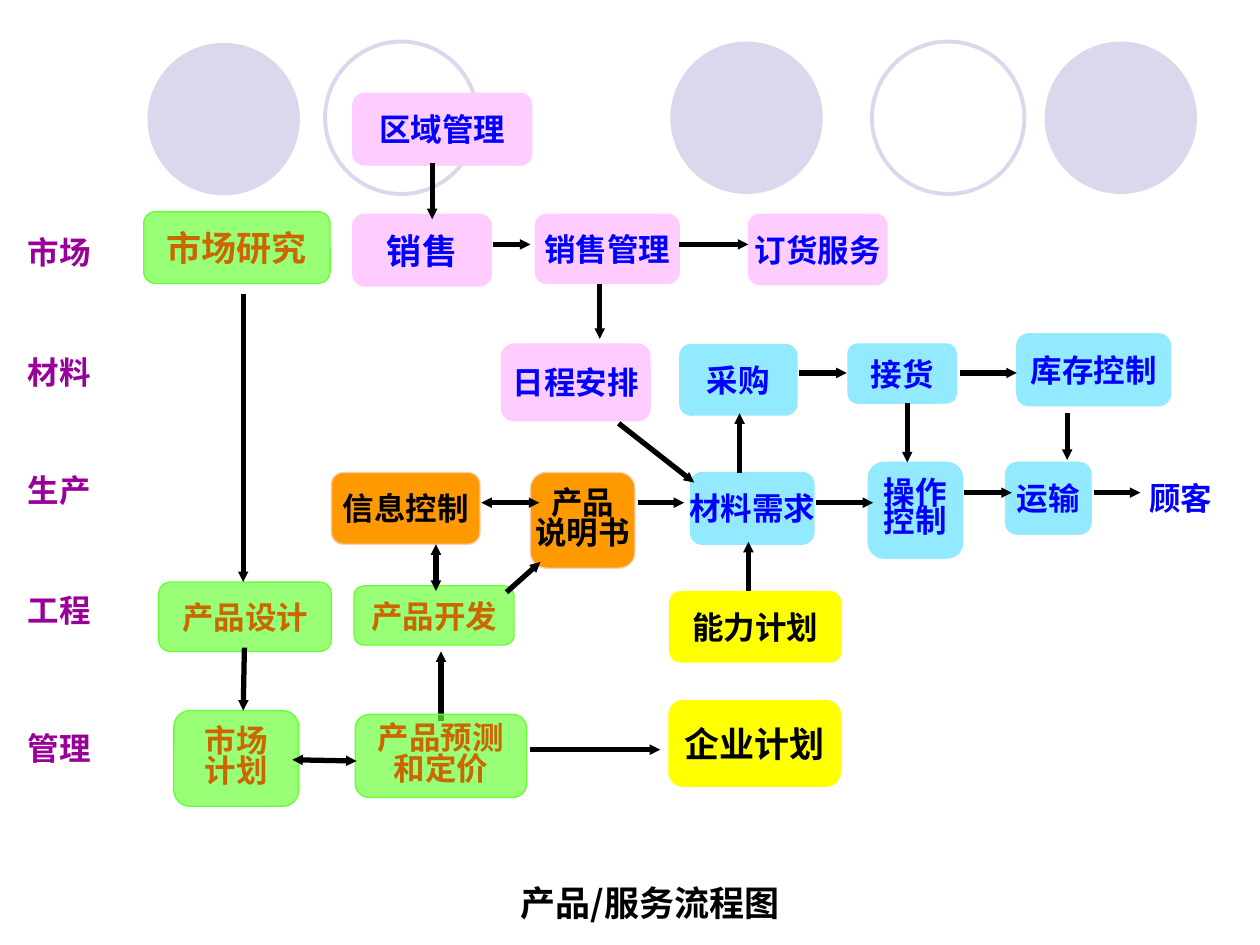
from dataclasses import dataclass

from lxml import etree
from pptx import Presentation
from pptx.dml.color import RGBColor
from pptx.enum.shapes import MSO_CONNECTOR, MSO_SHAPE
from pptx.enum.text import MSO_ANCHOR, PP_ALIGN
from pptx.oxml.ns import qn
from pptx.util import Inches, Pt

STRAIGHT = MSO_CONNECTOR.STRAIGHT
OVAL = MSO_SHAPE.OVAL
ROUNDED = MSO_SHAPE.ROUNDED_RECTANGLE
MIDDLE = MSO_ANCHOR.MIDDLE
CENTER = PP_ALIGN.CENTER

COLUMNS, ROWS = 100, 75
CELL = Inches(0.1)
BLANK_LAYOUT = 6


@dataclass(frozen=True)
class Theme:
    black: str = "000000"
    blue: str = "0000FF"
    brown: str = "CC6600"
    purple: str = "990099"
    lavender: str = "D9D8EC"
    green: str = "66FF33"
    orange: str = "FF9900"
    peach: str = "F7CEB5"
    yellow: str = "FFFF00"
    cyan: str = "93EAFF"
    pink: str = "FFCCFF"
    body_size: float = 18
    large_size: float = 20
    outline: float = 0.75
    ring_line: float = 2.25
    arrow_line: float = 3
    box_font: str = "Times New Roman"
    label_font: str = "Arial"
    chinese_font: str = "Noto Sans CJK SC"


THEME = Theme()


@dataclass(frozen=True)
class Style:
    fill: str
    line: str
    ink: str
    opacity: int = 100


RESEARCH = Style(THEME.green, THEME.green, THEME.brown, 67)
PRODUCT = Style(THEME.orange, THEME.peach, THEME.black)
PLANNING = Style(THEME.yellow, THEME.yellow, THEME.black)
SUPPLY = Style(THEME.cyan, THEME.cyan, THEME.blue)
SALES = Style(THEME.pink, THEME.pink, THEME.blue)


@dataclass(frozen=True)
class Circle:
    column: float
    row: float
    filled: bool
    diameter: float = 12.1


@dataclass(frozen=True)
class Box:
    style: Style
    column: float
    row: float
    width: float
    height: float
    lines: tuple[str, ...]
    size: float = THEME.body_size
    spacing: float = 0.8
    outlined: bool = True


@dataclass(frozen=True)
class Arrow:
    from_column: float
    from_row: float
    to_column: float
    to_row: float
    both_ends: bool = False


@dataclass(frozen=True)
class Label:
    column: float
    row: float
    width: float
    height: float
    text: str
    ink: str
    font: str
    size: float = THEME.body_size


CIRCLES = [
    Circle(53.2, 3.3, True),
    Circle(82.9, 3.3, True),
    Circle(11.7, 3.4, True),
    Circle(69.2, 3.3, False),
    Circle(25.8, 3.3, False),
]

FORECAST_ARROW = Arrow(35, 57.2, 35, 51.7)

BOXES = [
    Box(RESEARCH, 11.4, 16.8, 14.8, 5.7, ("市场研究",), THEME.large_size),
    Box(RESEARCH, 12.6, 46.2, 13.7, 5.5, ("产品设计",)),
    Box(RESEARCH, 13.8, 56.4, 9.9, 7.6, ("市场", "计划")),
    Box(PRODUCT, 26.3, 37.5, 11.8, 5.7, ("信息控制",)),
    Box(RESEARCH, 28.1, 46.5, 12.7, 4.7, ("产品开发",)),
    Box(RESEARCH, 28.2, 56.7, 13.6, 6.6, ("产品预测", "和定价")),
    Box(PRODUCT, 42.1, 37.5, 8.3, 7.6, ("产品", "说明书")),
    Box(PLANNING, 53.1, 46.9, 13.7, 5.7, ("能力计划",), outlined=False),
    Box(PLANNING, 53.1, 55.6, 13.6, 6.8, ("企业计划",), THEME.large_size),
    Box(SUPPLY, 53.9, 27.3, 9.4, 5.7, ("采购",), outlined=False),
    Box(SUPPLY, 54.8, 37.5, 9.8, 5.7, ("材料需求",)),
    Box(SUPPLY, 67.3, 27.3, 8.6, 4.7, ("接货",)),
    Box(SUPPLY, 68.9, 36.7, 7.5, 7.6, ("操作", "控制"), spacing=0.75),
    Box(SUPPLY, 80.7, 26.5, 12.2, 5.7, ("库存控制",)),
    Box(SUPPLY, 79.8, 36.7, 6.8, 5.7, ("运输",)),
    Box(SALES, 39.8, 27.3, 11.8, 6.1, ("日程安排",)),
    Box(SALES, 28, 7.4, 14.2, 5.7, ("区域管理",)),
    Box(SALES, 42.5, 17, 11.4, 5.5, ("销售管理",)),
    Box(SALES, 28, 17, 11, 5.7, ("销售",), THEME.large_size),
    Box(SALES, 59.4, 17, 11, 5.6, ("订货服务",)),
]

ARROWS = [
    Arrow(19.3, 23.3, 19.3, 46.2),
    Arrow(42.1, 59.5, 52.4, 59.5),
    Arrow(23.2, 60.3, 28.3, 60.4, True),
    Arrow(34.6, 43.2, 34.6, 46.9, True),
    Arrow(38.2, 39.9, 42.8, 39.9, True),
    Arrow(49.1, 33.6, 55.1, 38.3),
    Arrow(64.8, 39.9, 69.3, 39.9),
    Arrow(63.4, 29.6, 67.2, 29.6),
    Arrow(76.5, 39.1, 80.3, 39.1),
    Arrow(76.2, 29.6, 80.7, 29.6),
    Arrow(86.8, 39.1, 90.5, 39.1),
    Arrow(58.7, 37.5, 58.7, 32.8),
    Arrow(72, 32, 72, 36.7),
    Arrow(40.2, 47, 42.9, 44.6),
    Arrow(34.3, 12.9, 34.3, 17.4),
    Arrow(39.1, 19.4, 42.1, 19.4),
    Arrow(50.6, 39.9, 54.3, 39.9),
    Arrow(59.4, 46.9, 59.4, 43),
    Arrow(53.9, 19.4, 59.4, 19.4),
    Arrow(84.7, 32.8, 84.7, 36.5),
    Arrow(47.6, 22.5, 47.6, 26.9),
    Arrow(19.4, 51.4, 19.3, 56.4),
]

DEPARTMENTS = {"市场": 16.2, "材料": 25.7, "生产": 35.1, "工程": 44.6, "管理": 55.6}

LABELS = [
    Label(36.6, 68.3, 30, 6.7, "产品/服务流程图", THEME.black, THEME.chinese_font, THEME.large_size),
    Label(90.1, 37.5, 7.2, 4, "顾客", THEME.blue, THEME.box_font),
] + [
    Label(0, row, 9.4, 7.6, name, THEME.purple, THEME.label_font)
    for name, row in DEPARTMENTS.items()
]


def grid(*cells: float) -> list[int]:
    return [round(cell * CELL) for cell in cells]


def color(code: str) -> RGBColor:
    return RGBColor.from_string(code)


def write(shape, lines: tuple[str, ...], ink: str, font: str, size: float, spacing: float) -> None:
    frame = shape.text_frame
    frame.word_wrap = False
    frame.vertical_anchor = MIDDLE
    for index, line in enumerate(lines):
        para = frame.add_paragraph() if index else frame.paragraphs[0]
        para.alignment = CENTER
        if len(lines) > 1:
            para.line_spacing = spacing
        span = para.add_run()
        span.text = line
        span.font.name = font
        span.font.size = Pt(size)
        span.font.bold = True
        span.font.color.rgb = color(ink)
        east_asian = etree.SubElement(span.font._element, qn("a:ea"))
        east_asian.set("typeface", THEME.chinese_font)


def paint(shape, fill: str | None, line: str | None, width: float) -> None:
    shape.shadow.inherit = False
    if fill:
        shape.fill.solid()
        shape.fill.fore_color.rgb = color(fill)
    else:
        shape.fill.background()
    if line:
        shape.line.color.rgb = color(line)
        shape.line.width = Pt(width)
    else:
        shape.line.fill.background()


def draw_circle(page, circle: Circle) -> None:
    shape = page.shapes.add_shape(
        OVAL, *grid(circle.column, circle.row, circle.diameter, circle.diameter)
    )
    fill, line = (THEME.lavender, None) if circle.filled else (None, THEME.lavender)
    paint(shape, fill, line, THEME.ring_line)


def draw_box(page, box: Box) -> None:
    shape = page.shapes.add_shape(ROUNDED, *grid(box.column, box.row, box.width, box.height))
    style = box.style
    paint(shape, style.fill, style.line if box.outlined else None, THEME.outline)
    if style.opacity < 100:
        tint = shape._element.spPr.find(qn("a:solidFill"))[0]
        etree.SubElement(tint, qn("a:alpha")).set("val", str(style.opacity * 1000))
    write(shape, box.lines, style.ink, THEME.box_font, box.size, box.spacing)


def draw_arrow(page, arrow: Arrow) -> None:
    ends = grid(arrow.from_column, arrow.from_row, arrow.to_column, arrow.to_row)
    connector = page.shapes.add_connector(STRAIGHT, *ends)
    connector.line.color.rgb = color(THEME.black)
    connector.line.width = Pt(THEME.arrow_line)
    stroke = connector.line._get_or_add_ln()
    for tag in ("a:headEnd", "a:tailEnd") if arrow.both_ends else ("a:tailEnd",):
        tip = etree.SubElement(stroke, qn(tag))
        tip.set("type", "triangle")
        tip.set("w", "sm")
        tip.set("len", "sm")
    etree.SubElement(connector._element.spPr, qn("a:effectLst"))


def draw_label(page, label: Label) -> None:
    shape = page.shapes.add_textbox(*grid(label.column, label.row, label.width, label.height))
    write(shape, (label.text,), label.ink, label.font, label.size, 1)


def main() -> None:
    deck = Presentation()
    deck.slide_width, deck.slide_height = grid(COLUMNS, ROWS)
    page = deck.slides.add_slide(deck.slide_layouts[BLANK_LAYOUT])
    for circle in CIRCLES:
        draw_circle(page, circle)
    draw_arrow(page, FORECAST_ARROW)
    for box in BOXES:
        draw_box(page, box)
    for arrow in ARROWS:
        draw_arrow(page, arrow)
    for label in LABELS:
        draw_label(page, label)
    deck.save("out.pptx")


if __name__ == "__main__":
    main()
